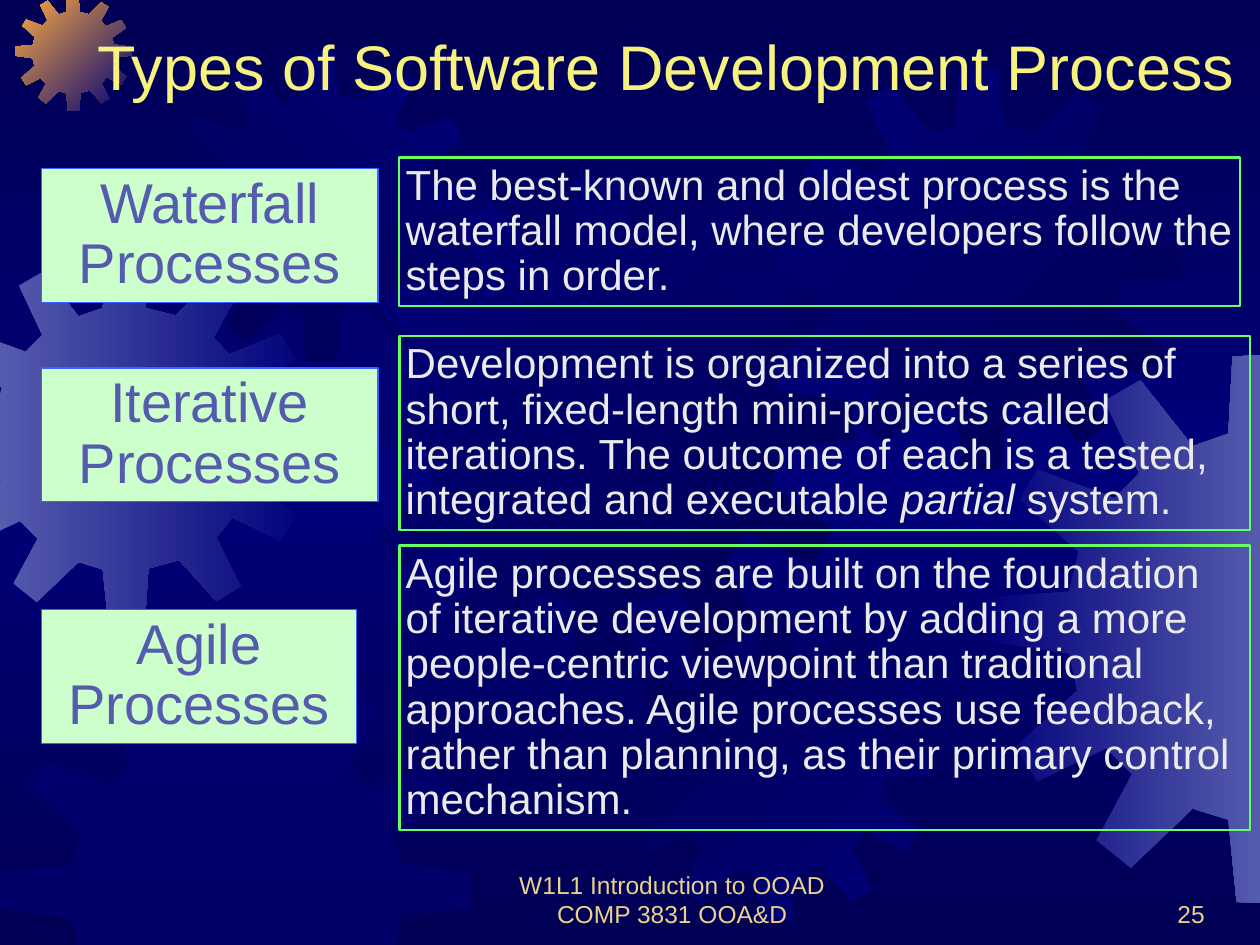
import copy

import pptx
import pptx.dml.color
import pptx.enum.shapes
import pptx.enum.text
import pptx.oxml
import pptx.oxml.ns
import pptx.util

Inches = pptx.util.Inches
RGBColor = pptx.dml.color.RGBColor
ALIGN = pptx.enum.text.PP_ALIGN
ANCHOR = pptx.enum.text.MSO_ANCHOR
SHAPE = pptx.enum.shapes.MSO_SHAPE
qn = pptx.oxml.ns.qn

NAVY = RGBColor(0x00, 0x00, 0x54)
BLUE = RGBColor(0x00, 0x00, 0x7A)
PERIWINKLE = RGBColor(0x55, 0x5B, 0xAD)
ORANGE = RGBColor(0xFC, 0xAB, 0x40)
YELLOW = RGBColor(0xF7, 0xF1, 0x7D)
SAND = RGBColor(0xEB, 0xD1, 0x89)
MINT = RGBColor(0xCC, 0xFF, 0xCC)
GREEN = RGBColor(0x63, 0xFF, 0x63)
SKY = RGBColor(0x33, 0x66, 0xFF)
PALE = RGBColor(0xEA, 0xEA, 0xEA)

WIDTH, HEIGHT = 10, 7.5

GEAR_SIZE = 401
GEAR = [
    (255, 67), (223, 59), (219, 0), (180, 3), (177, 59), (151, 68),
    (113, 20), (87, 35), (112, 88), (94, 106), (38, 85), (25, 107),
    (68, 145), (61, 174), (1, 178), (0, 210), (61, 219), (67, 246),
    (22, 287), (38, 312), (88, 288), (107, 307), (81, 355), (106, 375),
    (151, 332), (177, 340), (183, 400), (222, 401), (226, 339), (259, 330),
    (299, 374), (325, 358), (299, 306), (316, 284), (368, 309), (384, 281),
    (336, 246), (342, 216), (401, 210), (400, 180), (341, 171), (335, 148),
    (383, 114), (367, 87), (313, 109), (296, 91), (323, 41), (297, 25),
]

GEARS = [
    (-0.49, 2.01, 2.96, PERIWINKLE, BLUE, 0),
    (0.12, -0.04, 0.92, ORANGE, BLUE, 45),
    (1.3, 0.39, 2.48, NAVY, BLUE, 315),
    (2.77, 1.39, 4.01, BLUE, NAVY, 45),
    (0, 5.25, 3.74, BLUE, None, 0),
    (4.91, 4.84, 2.48, NAVY, BLUE, 45),
    (6.18, 0.53, 3.2, BLUE, NAVY, 45),
    (7.82, 2.8, 4.37, BLUE, PERIWINKLE, 0),
]

PROCESSES = [
    ("Waterfall Processes", 1.34, 2.67,
     "The best-known and oldest process is the waterfall model, where "
     "developers follow the steps in order.", 1.25, 6.67, 1.18),
    ("Iterative Processes", 2.92, 2.67,
     "Development is organized into a series of short, fixed-length "
     "mini-projects called iterations. The outcome of each is a tested, "
     "integrated and executable _partial _system.", 2.67, 6.75, 1.54),
    ("Agile Processes", 4.84, 2.5,
     "Agile processes are built on the foundation of iterative development "
     "by adding a more people-centric viewpoint than traditional approaches. "
     "Agile processes use feedback, rather than planning, as their primary "
     "control mechanism.", 4.33, 6.75, 2.26),
]


def write(tf, text, size, color, align=ALIGN.LEFT, anchor=ANCHOR.TOP,
          inset=0.1, spacing=1, grow=False):
    tf.word_wrap = True
    tf.vertical_anchor = anchor
    auto = pptx.enum.text.MSO_AUTO_SIZE
    tf.auto_size = auto.SHAPE_TO_FIT_TEXT if grow else auto.NONE
    tf.margin_left = tf.margin_right = Inches(inset)
    tf.margin_top = tf.margin_bottom = Inches(0.05)
    for i, line in enumerate(text.split("\n")):
        p = tf.add_paragraph() if i else tf.paragraphs[0]
        p.alignment = align
        p.line_spacing = spacing
        p.space_before = pptx.util.Pt(0)
        for j, part in enumerate(line.split("_")):
            r = p.add_run()
            r.text = part
            r.font.name = "Arial"
            r.font.size = pptx.util.Pt(size)
            r.font.color.rgb = color
            r.font.italic = j % 2 == 1


def set_gradient(fill, start, end, angle):
    fill.gradient()
    fill.gradient_angle = -angle % 360
    for stop, color, position in zip(fill.gradient_stops, (start, end), (0, 1)):
        stop.color.rgb = color
        stop.position = position


def set_background(s):
    set_gradient(s.background.fill, NAVY, BLUE, 90)
    stops = s.element.find(".//" + qn("a:gsLst"))
    stops.append(copy.deepcopy(stops[0]))
    stops[1].set("pos", "50000")
    stops[2].set("pos", "100000")


def clip(points, axis, limit, side):
    kept = []
    for a, b in zip(points, points[1:] + points[:1]):
        a_in = (a[axis] - limit) * side >= 0
        b_in = (b[axis] - limit) * side >= 0
        if a_in:
            kept.append(a)
        if a_in != b_in:
            t = (limit - a[axis]) / (b[axis] - a[axis])
            kept.append(tuple(m + t * (n - m) for m, n in zip(a, b)))
    return kept


def add_gear(s, left, top, size, start, end, angle):
    scale = size / GEAR_SIZE
    points = [(left + x * scale, top + y * scale) for x, y in GEAR]
    for axis, limit in enumerate((WIDTH, HEIGHT)):
        points = clip(points, axis, 0, 1)
        points = clip(points, axis, limit, -1)
    first, *rest = [(Inches(x), Inches(y)) for x, y in points]
    builder = s.shapes.build_freeform(*first)
    builder.add_line_segments(rest, close=True)
    sp = builder.convert_to_shape()
    sp.shadow.inherit = False
    sp.line.fill.background()
    if end is not None:
        set_gradient(sp.fill, start, end, angle)
        return
    sp.fill.solid()
    sp.fill.fore_color.rgb = start
    color = sp.element.spPr.find(".//" + qn("a:srgbClr"))
    pptx.oxml.ns.qn("a:alpha")
    alpha = color.makeelement(qn("a:alpha"), {"val": "50000"})
    color.append(alpha)


def add_box(s, kind, box, text, fill, line, weight, **text_format):
    sp = s.shapes.add_shape(kind, *map(Inches, box))
    sp.shadow.inherit = False
    if fill is None:
        sp.fill.background()
    else:
        sp.fill.solid()
        sp.fill.fore_color.rgb = fill
    sp.line.color.rgb = line
    sp.line.width = pptx.util.Pt(weight)
    write(sp.text_frame, text, inset=0.05, spacing=0.9, grow=True, **text_format)


def add_footer(s, left, width, text, align):
    sp = s.shapes.add_textbox(*map(Inches, (left, 6.92, width, 0.5)))
    write(sp.text_frame, text, 14, SAND, align=align, anchor=ANCHOR.BOTTOM)
    return sp


def place_title(s, text):
    sp = s.shapes.title
    sp.element.getparent().append(sp.element)
    sp.left, sp.top, sp.width, sp.height = map(Inches, (0.67, 0.17, 9.58, 0.7))
    write(sp.text_frame, text, 36, YELLOW, anchor=ANCHOR.BOTTOM, grow=True)


def main():
    prs = pptx.Presentation()
    prs.slide_width, prs.slide_height = Inches(WIDTH), Inches(HEIGHT)
    s = prs.slides.add_slide(prs.slide_layouts[5])
    set_background(s)
    for gear in GEARS:
        add_gear(s, *gear)
    place_title(s, "Types of Software Development Process")
    footer = add_footer(s, 3.83, 3.17,
                        "W1L1 Introduction to OOAD\nCOMP 3831 OOA&D", ALIGN.CENTER)
    first = footer.text_frame.paragraphs[0]
    first._p.get_or_add_pPr().set("marR", str(Inches(0.16)))
    add_footer(s, 7.58, 2.08, "25", ALIGN.RIGHT)
    for name, top, width, text, text_top, text_width, text_height in PROCESSES:
        add_box(s, SHAPE.FLOWCHART_PROCESS, (0.33, top, width, 1.06), name,
                MINT, SKY, 0.75, size=32, color=PERIWINKLE,
                align=ALIGN.CENTER, anchor=ANCHOR.MIDDLE)
        add_box(s, SHAPE.RECTANGLE, (3.17, text_top, text_width, text_height),
                text, None, GREEN, 1.25, size=24, color=PALE)
    prs.save("out.pptx")


if __name__ == "__main__":
    main()
